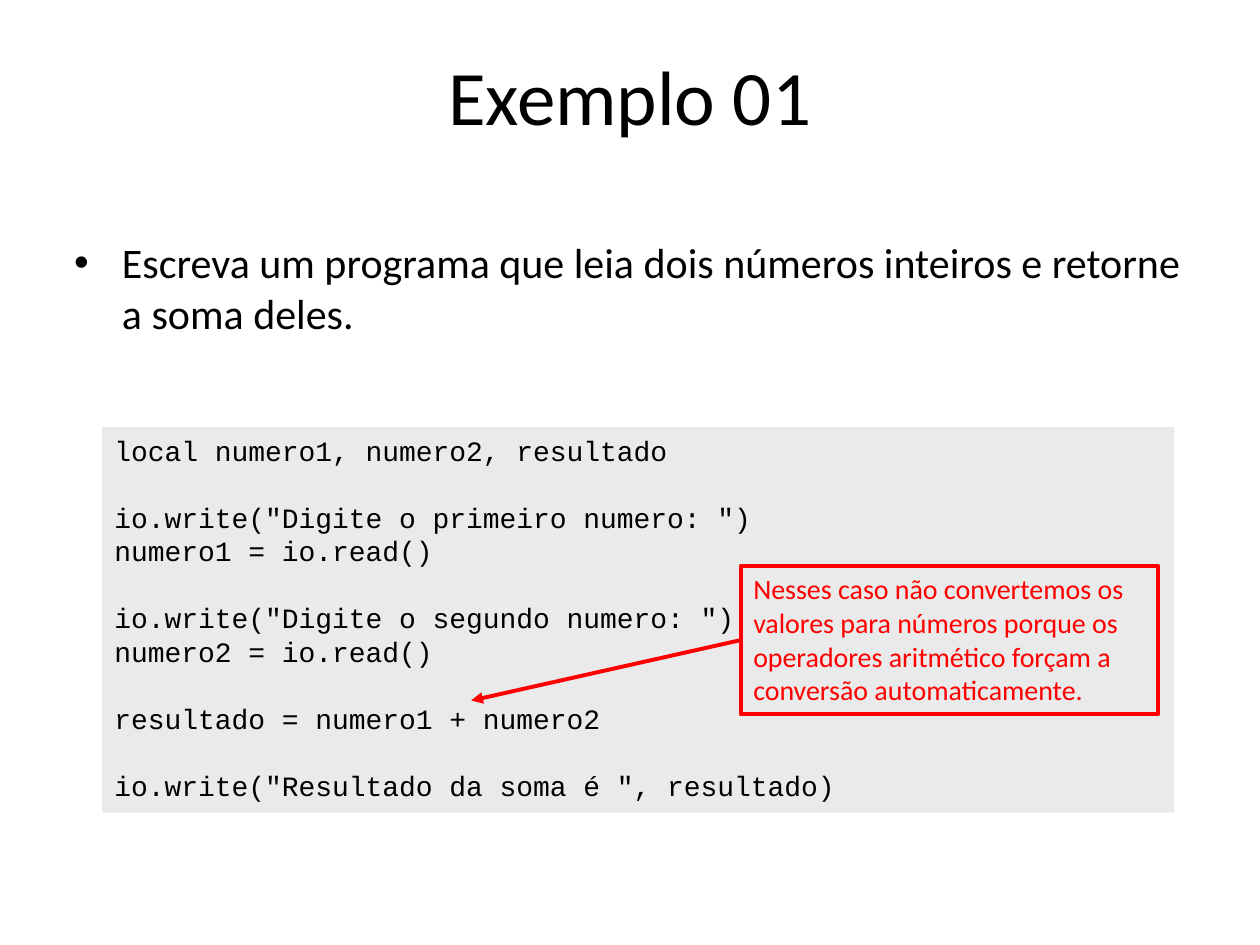
import pptx
import pptx.util
import pptx.dml.color
import pptx.enum.shapes
import pptx.enum.text
from lxml import etree

Pt = pptx.util.Pt
ALIGN = pptx.enum.text.PP_ALIGN
ANCHOR = pptx.enum.text.MSO_ANCHOR
SHAPES = pptx.enum.shapes

# Content
TITLE = "Exemplo 01"
TASK = "Escreva um programa que leia dois números inteiros e retorne a soma deles."
CODE = [  # groups of lines, one line of space between groups
    ["local numero1, numero2, resultado"],
    ['io.write("Digite o primeiro numero: ")', "numero1 = io.read()"],
    ['io.write("Digite o segundo numero: ")', "numero2 = io.read()"],
    ["resultado = numero1 + numero2"],
    ['io.write("Resultado da soma é ", resultado)'],
]
NOTE = ("Nesses caso não convertemos os valores para números porque os "
        "operadores aritmético forçam a conversão automaticamente.")

# Layout as shares of the slide: left, top, width, height
W, H = pptx.util.Inches(10), pptx.util.Inches(7.5)
TITLE_BOX = (0.05, 0.13 / 7.5, 0.9, 1.25 / 7.5)
TASK_BOX = (0.049, 1.83 / 7.5, 0.9, 1.13 / 7.5)
CODE_BOX = (0.081, 3.39 / 7.5, 0.851, 3.06 / 7.5)
NOTE_BOX = (0.588, 4.49 / 7.5, 0.331, 1.18 / 7.5)
ARROW_TIP = (0.374, 5.56 / 7.5)
LINE_PITCH = Pt(19.15)

COLORS = {"text": "000000", "code": "EAEAEA", "accent": "FF0000"}


def rgb(name):
    return pptx.dml.color.RGBColor.from_string(COLORS[name])


def place(x, y):
    return round(x * W), round(y * H)


def frame(sp, anchor=ANCHOR.TOP):
    tf = sp.text_frame
    tf.word_wrap = True
    tf.vertical_anchor = anchor
    return tf


def write(p, text, size, font="Calibri", color="text", align=ALIGN.LEFT):
    p.text = text
    p.alignment = align
    p.font.size, p.font.name = Pt(size), font
    p.font.color.rgb = rgb(color)


def add_text(s, box):
    return s.shapes.add_textbox(*place(*box[:2]), *place(*box[2:]))


def add_box(s, box, fill=None, line=None):
    sp = s.shapes.add_shape(SHAPES.MSO_SHAPE.RECTANGLE,
                            *place(*box[:2]), *place(*box[2:]))
    sp.shadow.inherit = False
    if fill:
        sp.fill.solid()
        sp.fill.fore_color.rgb = rgb(fill)
    else:
        sp.fill.background()
    if line:
        sp.line.color.rgb, sp.line.width = rgb(line), Pt(2.25)
    else:
        sp.line.fill.background()
    return sp


def add_child(parent, tag, **attrs):
    return etree.SubElement(parent, pptx.oxml.ns.qn(tag), attrs)


def main():
    prs = pptx.Presentation()
    prs.slide_width, prs.slide_height = W, H
    s = prs.slides.add_slide(prs.slide_layouts[6])

    # Title
    tf = frame(add_text(s, TITLE_BOX), ANCHOR.MIDDLE)
    write(tf.paragraphs[0], TITLE, 44, align=ALIGN.CENTER)

    # Task with a hanging bullet
    p = frame(add_text(s, TASK_BOX)).paragraphs[0]
    write(p, TASK, 24)
    p.space_before = Pt(4.8)
    pPr = p._p.get_or_add_pPr()
    indent = pptx.util.Inches(0.38)
    pPr.set("marL", str(indent))
    pPr.set("indent", str(-indent))
    bullet = [pptx.oxml.parse_xml(f'<a:{tag} {pptx.oxml.ns.nsdecls("a")} {attr}/>')
              for tag, attr in (("buFont", 'typeface="Arial"'), ("buChar", 'char="•"'))]
    at = pPr.index(pPr.find(pptx.oxml.ns.qn("a:defRPr")))
    pPr[at:at] = bullet

    # Code listing
    tf = frame(add_box(s, CODE_BOX, fill="code"))
    for g, group in enumerate(CODE):
        for i, line in enumerate(group):
            p = tf.add_paragraph() if g or i else tf.paragraphs[0]
            write(p, line, 16, "Courier New")
            p.line_spacing = LINE_PITCH
            if g and not i:
                p.space_before = LINE_PITCH

    # Arrow from the middle of the note's left side to the sum
    start = place(NOTE_BOX[0], NOTE_BOX[1] + NOTE_BOX[3] / 2)
    arrow = s.shapes.add_connector(SHAPES.MSO_CONNECTOR.STRAIGHT,
                                   *start, *place(*ARROW_TIP))
    arrow.line.color.rgb, arrow.line.width = rgb("accent"), Pt(2.25)
    add_child(arrow.line._get_or_add_ln(), "a:tailEnd", type="triangle")
    add_child(arrow._element.spPr, "a:effectLst")

    # Note
    tf = frame(add_box(s, NOTE_BOX, line="accent"))
    write(tf.paragraphs[0], NOTE, 16, color="accent")

    prs.save("out.pptx")


if __name__ == "__main__":
    main()
